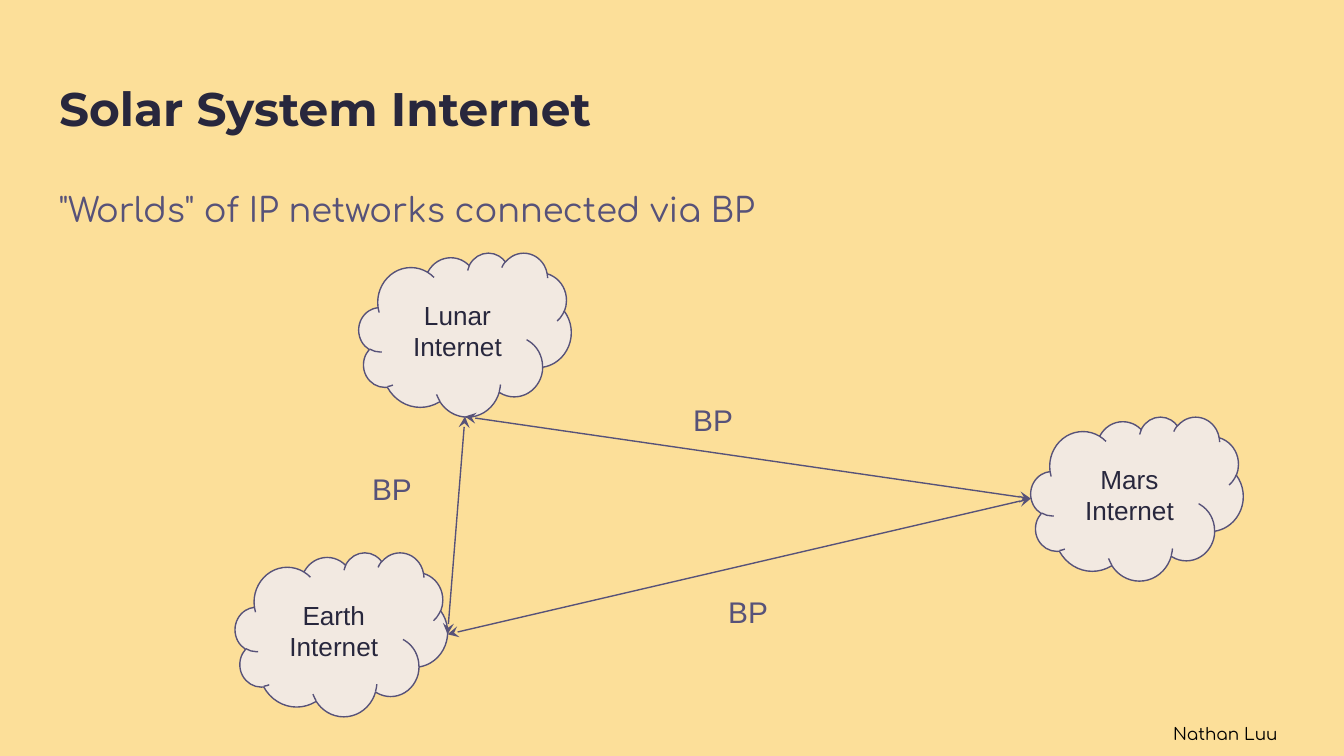
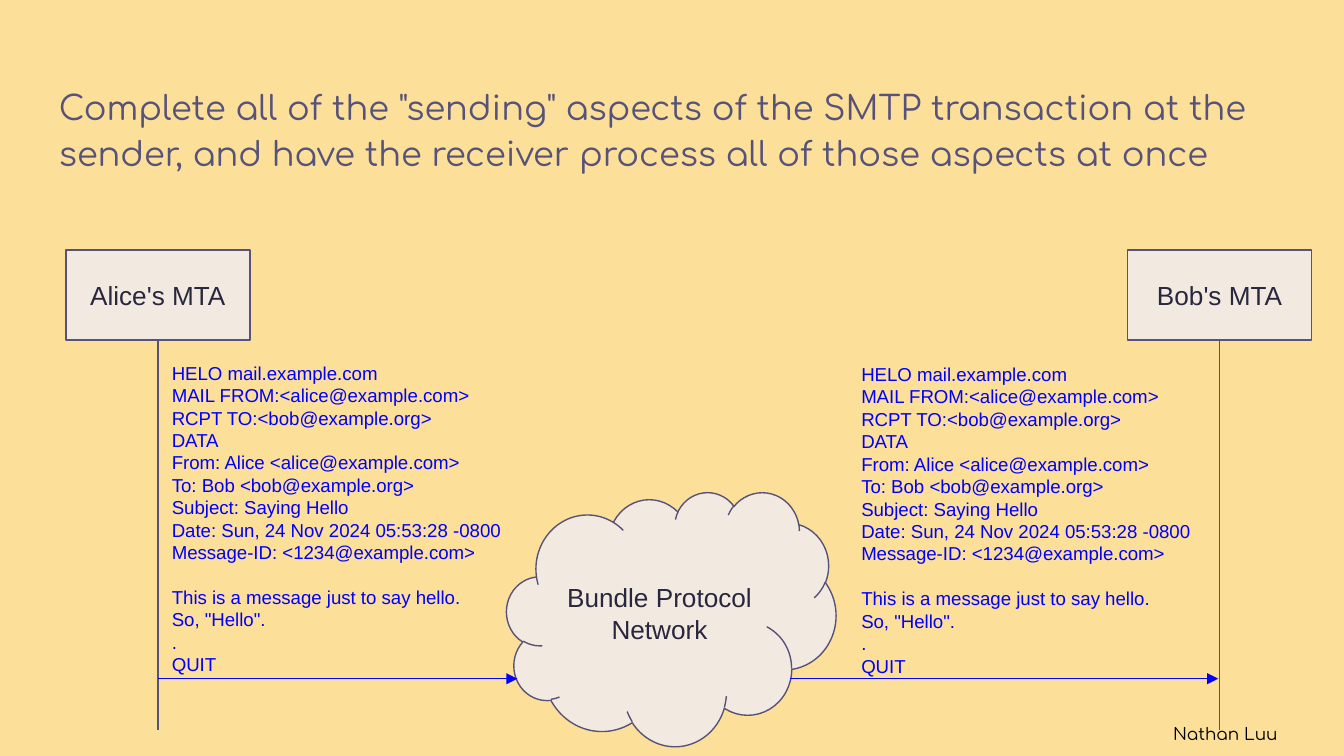
from dataclasses import dataclass

import pptx
import pptx.dml.color
import pptx.enum.shapes
import pptx.enum.text
import pptx.oxml
import pptx.oxml.ns
import pptx.util

Inches = pptx.util.Inches
Shape = pptx.enum.shapes.MSO_SHAPE
Align = pptx.enum.text.PP_ALIGN
Anchor = pptx.enum.text.MSO_ANCHOR

SAND, CREAM, INK, PLUM = "FCDF99", "F2E9E1", "28273D", "575279"
BLUE, BLACK = "0000FF", "000000"
SANS, ROUNDED, HEADING = "Arial", "Comfortaa", "Montserrat"
TITLE_ONLY, BLANK = 5, 6

MAIL_HEADER = [
    "HELO mail.example.com",
    "MAIL FROM:<alice@example.com>",
    "RCPT TO:<bob@example.org>",
    "DATA",
    "From: Alice <alice@example.com>",
    "To: Bob <bob@example.org>",
    "Subject: Saying Hello",
    "Date: Sun, 24 Nov 2024 05:53:28 -0800",
    "Message-ID: <1234@example.com>",
]
MAIL_BODY = ["This is a message just to say hello.", 'So, "Hello".', ".", "QUIT"]


@dataclass
class Box:
    left: float
    top: float
    width: float
    height: float

    def inside(self, left, top, width, height):
        return Box(self.left + left, self.top + top, width, height)

    def lengths(self):
        return [Inches(value) for value in (self.left, self.top, self.width, self.height)]

    def right_middle(self):
        return self.left + self.width, self.top + self.height / 2

    def left_middle(self):
        return self.left, self.top + self.height / 2

    def bottom_middle(self):
        return self.left + self.width / 2, self.top + self.height


def colour(code):
    return pptx.dml.color.RGBColor.from_string(code)


def write(frame, lines, size, code, font=SANS, bold=False, align=Align.LEFT, anchor=Anchor.TOP):
    frame.word_wrap = True
    frame.vertical_anchor = anchor
    frame.margin_left = frame.margin_right = Inches(0.1)
    frame.margin_top = frame.margin_bottom = Inches(0.1)
    for index, line in enumerate(lines):
        para = frame.paragraphs[0] if index == 0 else frame.add_paragraph()
        para.alignment = align
        span = para.add_run()
        span.text = line
        span.font.size = pptx.util.Pt(size)
        span.font.name = font
        span.font.bold = bold
        span.font.color.rgb = colour(code)
    return frame


def add_text(page, box, lines, size, code, font=SANS):
    return write(page.shapes.add_textbox(*box.lengths()).text_frame, lines, size, code, font)


def add_node(page, kind, box, lines):
    node = page.shapes.add_shape(kind, *box.lengths())
    node.shadow.inherit = False
    node.fill.solid()
    node.fill.fore_color.rgb = colour(CREAM)
    node.line.color.rgb = colour(PLUM)
    node.line.width = pptx.util.Pt(0.75)
    write(node.text_frame, lines, 14, INK, align=Align.CENTER, anchor=Anchor.MIDDLE)
    return node


def add_line(page, start, end, code=PLUM, head=None, tail=None):
    points = [Inches(value) for value in (*start, *end)]
    line = page.shapes.add_connector(pptx.enum.shapes.MSO_CONNECTOR.STRAIGHT, *points)
    line.line.color.rgb = colour(code)
    line.line.width = pptx.util.Pt(0.75)
    properties = line._element.spPr
    outline = properties.find(pptx.oxml.ns.qn("a:ln"))
    for name, arrow in (("headEnd", head), ("tailEnd", tail)):
        if arrow:
            xml = f'<a:{name} {pptx.oxml.ns.nsdecls("a")} type="{arrow}"/>'
            outline.append(pptx.oxml.parse_xml(xml))
    properties.append(pptx.oxml.parse_xml(f'<a:effectLst {pptx.oxml.ns.nsdecls("a")}/>'))
    return line


def add_title(page, box, text):
    title = page.shapes.title
    title.left, title.top, title.width, title.height = box.lengths()
    frame = write(title.text_frame, [text], 25.2, INK, HEADING, bold=True)
    frame.auto_size = pptx.enum.text.MSO_AUTO_SIZE.NONE


def add_statement(page, box, text):
    para = add_text(page, box, [text], 18, PLUM, ROUNDED).paragraphs[0]
    para.line_spacing = 1.15
    para.space_after = pptx.util.Pt(12)


def add_author(page):
    frame = add_text(page, Box(8.63, 5.31, 1.47, 0.35), ["Nathan Luu"], 9, BLACK, ROUNDED)
    frame.auto_size = pptx.enum.text.MSO_AUTO_SIZE.SHAPE_TO_FIT_TEXT


def add_worlds(page, area):
    earth, lunar, mars = [
        area.inside(left, top, 1.58, 1.22)
        for left, top in ((0, 2.23), (0.92, 0), (5.92, 1.22))
    ]
    for name, box in (("Earth", earth), ("Lunar", lunar), ("Mars", mars)):
        add_node(page, Shape.CLOUD, box, [f"{name} Internet"])
    links = [
        (earth.right_middle(), lunar.bottom_middle(), (0.92, 1.52)),
        (earth.right_middle(), mars.left_middle(), (3.57, 2.44)),
        (lunar.bottom_middle(), mars.left_middle(), (3.31, 1.01)),
    ]
    for start, end, label in links:
        add_line(page, start, end, head="stealth", tail="stealth")
        add_text(page, area.inside(*label, 0.5, 0.41), ["BP"], 16, PLUM)


def add_agent(page, box, name):
    agent = add_node(page, Shape.RECTANGLE, box, [name])
    x, y = box.bottom_middle()
    add_line(page, (x, y), (x, y + 2.9)).begin_connect(agent, 2)


def add_mail(page, box):
    frame = add_text(page, box, MAIL_HEADER + MAIL_BODY, 10, BLUE)
    frame.paragraphs[len(MAIL_HEADER)].space_before = pptx.util.Pt(12)


def add_transaction(page, area):
    alice = area.inside(0, 0, 1.37, 0.67)
    bob = area.inside(area.width - 1.37, 0, 1.37, 0.67)
    add_agent(page, alice, "Alice's MTA")
    add_agent(page, bob, "Bob's MTA")
    network = area.inside(3.28, 1.8, 2.45, 1.89)
    add_node(page, Shape.CLOUD, network, ["Bundle Protocol", "Network"])
    arrow_top = area.top + 3.19
    sender, receiver = alice.bottom_middle()[0], bob.bottom_middle()[0]
    for start, end in ((sender, network.left + 0.08), (network.left + 2.11, receiver - 0.01)):
        add_line(page, (start, arrow_top), (end, arrow_top), BLUE, tail="triangle")
    add_mail(page, area.inside(0.69, 0.73, 2.68, 2.47))
    add_mail(page, area.inside(5.82, 0.74, 2.68, 2.47))


def add_internet_page(deck):
    page = deck.slides.add_slide(deck.slide_layouts[TITLE_ONLY])
    add_title(page, Box(0.34, 0.49, 9.32, 0.63), "Solar System Internet")
    add_statement(page, Box(0.34, 1.26, 9.32, 0.63), '"Worlds" of IP networks connected via BP')
    add_worlds(page, Box(1.75, 1.88, 7.5, 3.45))
    add_author(page)


def add_mail_page(deck):
    page = deck.slides.add_slide(deck.slide_layouts[BLANK])
    add_statement(
        page,
        Box(0.34, 0.5, 9.32, 0.82),
        'Complete all of the "sending" aspects of the SMTP transaction at the sender, '
        "and have the receiver process all of those aspects at once",
    )
    add_transaction(page, Box(0.49, 1.86, 9.27, 3.69))
    add_author(page)


def main():
    deck = pptx.Presentation()
    deck.slide_width = Inches(10)
    deck.slide_height = Inches(10 * 9 / 16)
    backdrop = deck.slide_master.background.fill
    backdrop.solid()
    backdrop.fore_color.rgb = colour(SAND)
    add_internet_page(deck)
    add_mail_page(deck)
    deck.save("out.pptx")


if __name__ == "__main__":
    main()
